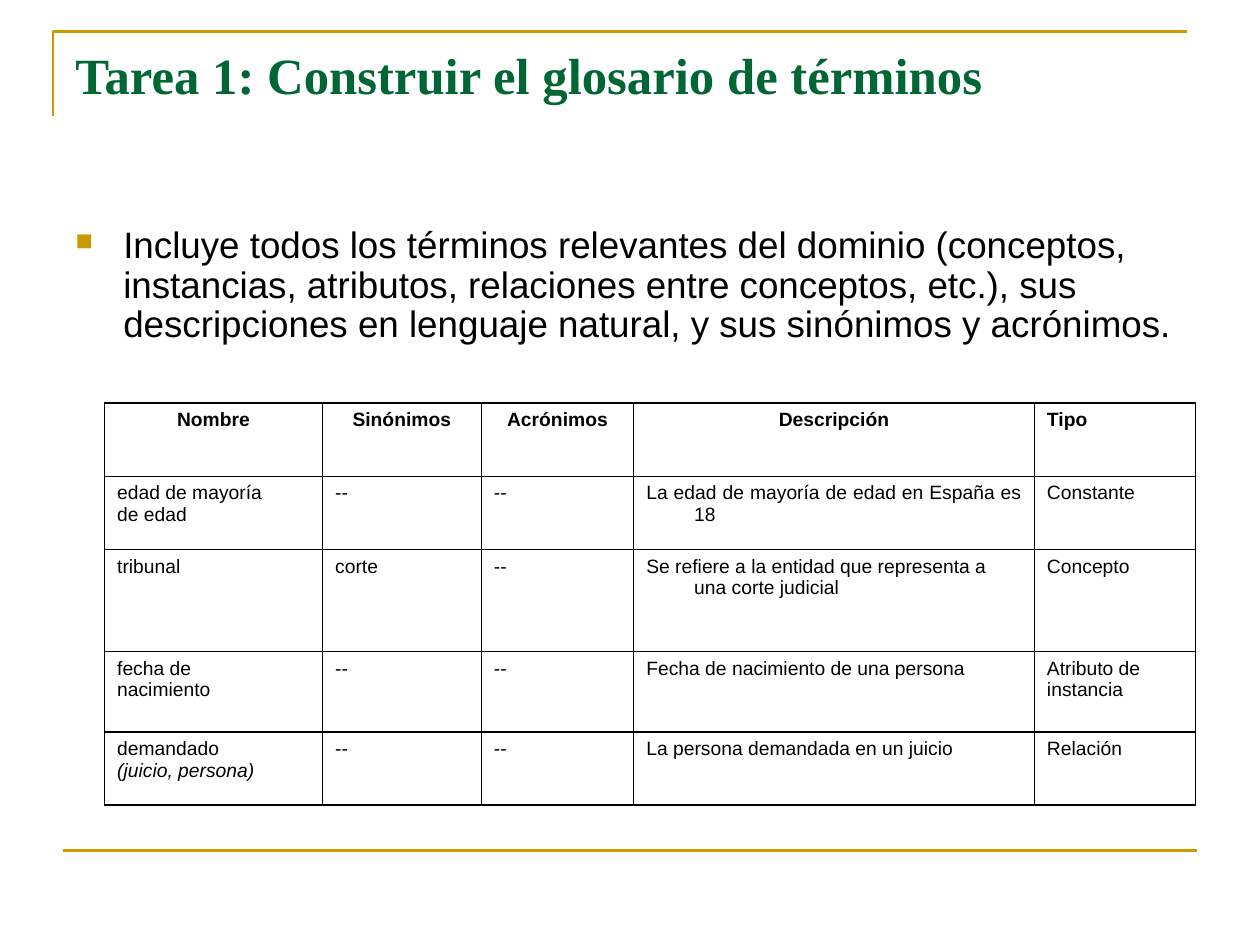
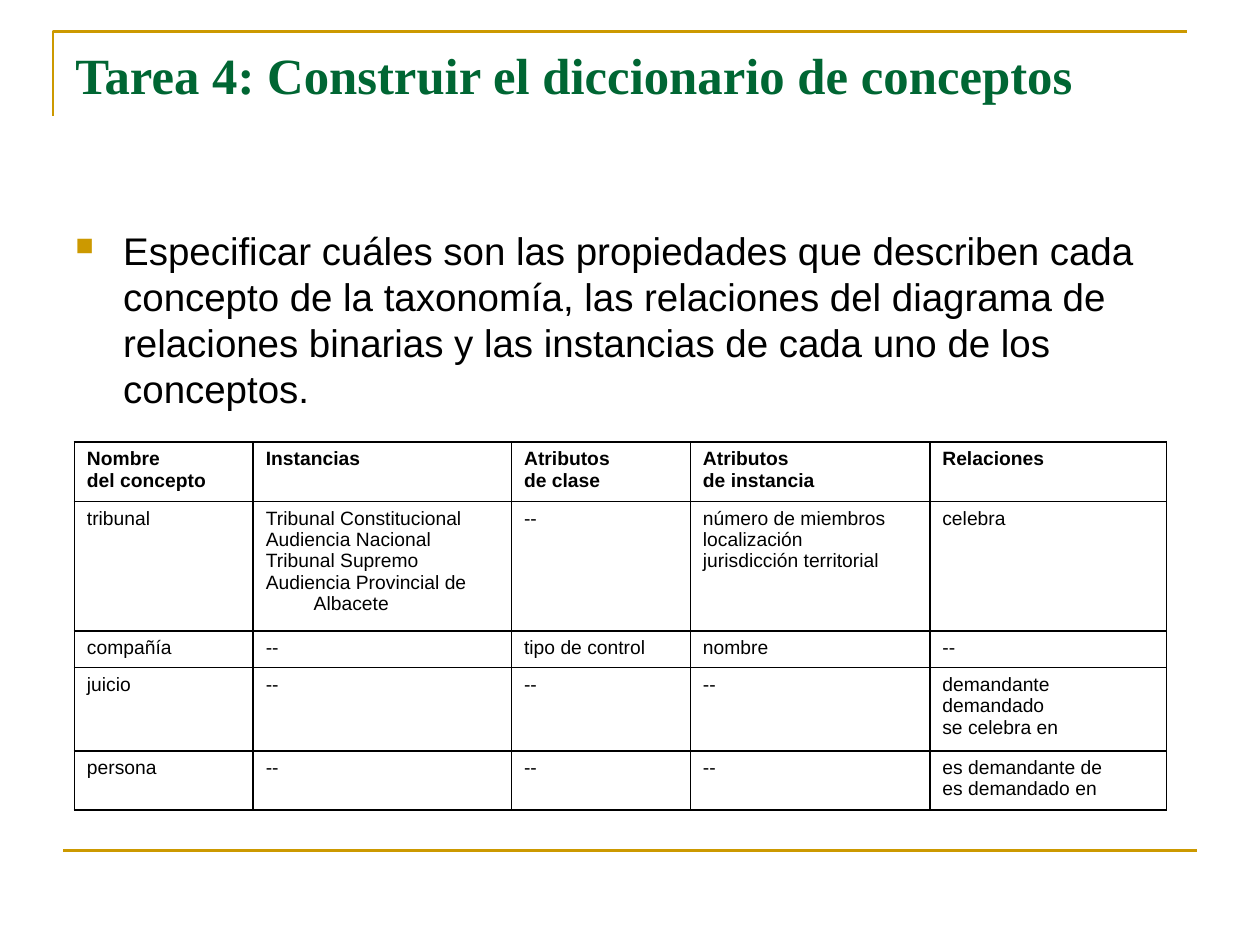
from lxml import etree
from pptx import Presentation
from pptx.dml.color import RGBColor
from pptx.enum.shapes import MSO_CONNECTOR
from pptx.enum.text import MSO_ANCHOR, PP_ALIGN
from pptx.oxml.ns import qn
from pptx.util import Inches, Pt

TOP = MSO_ANCHOR.TOP
STRAIGHT = MSO_CONNECTOR.STRAIGHT
ALIGNMENTS = {"l": PP_ALIGN.LEFT, "c": PP_ALIGN.CENTER, "j": PP_ALIGN.JUSTIFY}
COLORS = {"gold": "CC9900", "green": "006633", "black": "000000"}
HEADING_FONT, BODY_FONT = "Times New Roman", "Arial"
HANGING = Inches(0.38)


class Deck:
    """Holds the shared style and the slide being built."""

    def __init__(self):
        self.presentation = Presentation()
        self.presentation.slide_width = Inches(10)
        self.presentation.slide_height = Inches(7.5)
        self.slide = None

    def add_slide(self, title):
        self.slide = self.presentation.slides.add_slide(self.presentation.slide_layouts[6])
        self.frame()
        self.footer_rule()
        paragraph = self.text((0.5, 0.3, 9, 1.25), title)
        self.style(paragraph, HEADING_FONT, 29, "green", bold=True)

    def style(self, paragraph, font, size, color, bold=False, italic=False):
        paragraph.font.name = font
        paragraph.font.size = Pt(size)
        paragraph.font.bold = bold
        paragraph.font.italic = italic
        paragraph.font.color.rgb = RGBColor.from_string(COLORS[color])

    def gold_line(self, shape):
        shape.line.color.rgb = RGBColor.from_string(COLORS["gold"])
        shape.line.width = Pt(1.5)

    def hang(self, paragraph):
        properties = paragraph._p.get_or_add_pPr()
        properties.set("marL", str(HANGING))
        properties.set("indent", str(-HANGING))
        return properties

    def frame(self):
        builder = self.slide.shapes.build_freeform(Inches(0.42), Inches(0.92))
        corners = [(0.42, 0.25), (9.42, 0.25)]
        builder.add_line_segments([(Inches(x), Inches(y)) for x, y in corners], close=False)
        shape = builder.convert_to_shape()
        shape.shadow.inherit = False
        shape.fill.background()
        self.gold_line(shape)

    def footer_rule(self):
        connector = self.slide.shapes.add_connector(
            STRAIGHT, Inches(0.5), Inches(6.75), Inches(9.5), Inches(6.75))
        self.gold_line(connector)
        etree.SubElement(connector._element.spPr, qn("a:effectLst"))

    def text(self, box, words):
        shape = self.slide.shapes.add_textbox(*map(Inches, box))
        shape.text_frame.word_wrap = True
        shape.text_frame.vertical_anchor = TOP
        paragraph = shape.text_frame.paragraphs[0]
        paragraph.text = words
        return paragraph

    def bullet(self, box, words, size, line_spacing=None):
        paragraph = self.text(box, words)
        self.style(paragraph, BODY_FONT, size, "black")
        paragraph.line_spacing = line_spacing
        paragraph.space_before = Pt(4)
        properties = self.hang(paragraph)
        color = etree.Element(qn("a:buClr"))
        etree.SubElement(color, qn("a:srgbClr"), val=COLORS["gold"])
        scale = etree.Element(qn("a:buSzPct"), val="65000")
        mark = etree.Element(qn("a:buChar"), char="■")
        position = len(properties) - len(properties.findall(qn("a:defRPr")))
        for offset, element in enumerate((color, scale, mark)):
            properties.insert(position + offset, element)

    def borders(self, cell):
        properties = cell._tc.get_or_add_tcPr()
        for index, side in enumerate(("lnL", "lnR", "lnT", "lnB")):
            line = etree.Element(qn(f"a:{side}"), w=str(Pt(1)))
            fill = etree.SubElement(line, qn("a:solidFill"))
            etree.SubElement(fill, qn("a:srgbClr"), val=COLORS["black"])
            properties.insert(index, line)

    def table(self, left, top, widths, heights, alignments, rows):
        table = self.slide.shapes.add_table(
            len(rows), len(widths), Inches(left), Inches(top),
            Inches(sum(widths)), Inches(sum(heights))).table
        table.horz_banding = False
        for column, width in zip(table.columns, widths):
            column.width = Inches(width)
        for row, height in zip(table.rows, heights):
            row.height = Inches(height)
        for row_index, (words, codes) in enumerate(zip(rows, alignments)):
            for column_index, (content, code) in enumerate(zip(words, codes)):
                cell = table.cell(row_index, column_index)
                cell.text = content
                cell.fill.background()
                self.borders(cell)
                for paragraph in cell.text_frame.paragraphs:
                    paragraph.alignment = ALIGNMENTS[code]
                    self.hang(paragraph)
                    self.style(paragraph, BODY_FONT, 11, "black", bold=row_index == 0,
                               italic=paragraph.text.startswith("("))


deck = Deck()

deck.add_slide("Tarea 1: Construir el glosario de términos")
deck.bullet(
    (0.5, 1.75, 8.99, 1.29),
    "Incluye todos los términos relevantes del dominio (conceptos, instancias, atributos, "
    "relaciones entre conceptos, etc.), sus descripciones en lenguaje natural, "
    "y sus sinónimos y acrónimos.", 21, 0.9)
deck.table(
    0.83, 3.2, [1.73, 1.26, 1.21, 3.18, 1.28], [0.58, 0.58, 0.81, 0.64, 0.58],
    ["ccccl", "jjjjj", "jjlll", "jlljj", "jlljl"],
    [
        ["Nombre", "Sinónimos", "Acrónimos", "Descripción", "Tipo"],
        ["edad de mayoría\nde edad", "--", "--",
         "La edad de mayoría de edad en España es 18", "Constante"],
        ["tribunal", "corte", "--",
         "Se refiere a la entidad que representa a una corte judicial", "Concepto"],
        ["fecha de\nnacimiento", "--", "--",
         "Fecha de nacimiento de una persona", "Atributo de\ninstancia"],
        ["demandado\n(juicio, persona)", "--", "--",
         "La persona demandada en un juicio", "Relación"],
    ])

deck.add_slide("Tarea 4: Construir el diccionario de conceptos")
deck.bullet(
    (0.5, 1.75, 8.67, 1.37),
    "Especificar cuáles son las propiedades que describen cada concepto de la taxonomía, "
    "las relaciones del diagrama de relaciones binarias y las instancias de cada uno "
    "de los conceptos.", 22)
deck.table(
    0.59, 3.51, [1.42, 2.05, 1.42, 1.9, 1.88], [0.47, 1.03, 0.29, 0.66, 0.47],
    ["jjljl", "lllll", "jljjl", "jlllj", "jlllj"],
    [
        ["Nombre\ndel concepto", "Instancias", "Atributos\nde clase",
         "Atributos\nde instancia", "Relaciones"],
        ["tribunal",
         "Tribunal Constitucional\nAudiencia Nacional\nTribunal Supremo\n"
         "Audiencia Provincial de Albacete",
         "--", "número de miembros\nlocalización\njurisdicción territorial", "celebra"],
        ["compañía", "--", "tipo de control", "nombre", "--"],
        ["juicio", "--", "--", "--", "demandante\ndemandado\nse celebra en"],
        ["persona", "--", "--", "--", "es demandante de\nes demandado en"],
    ])

deck.presentation.save("out.pptx")
